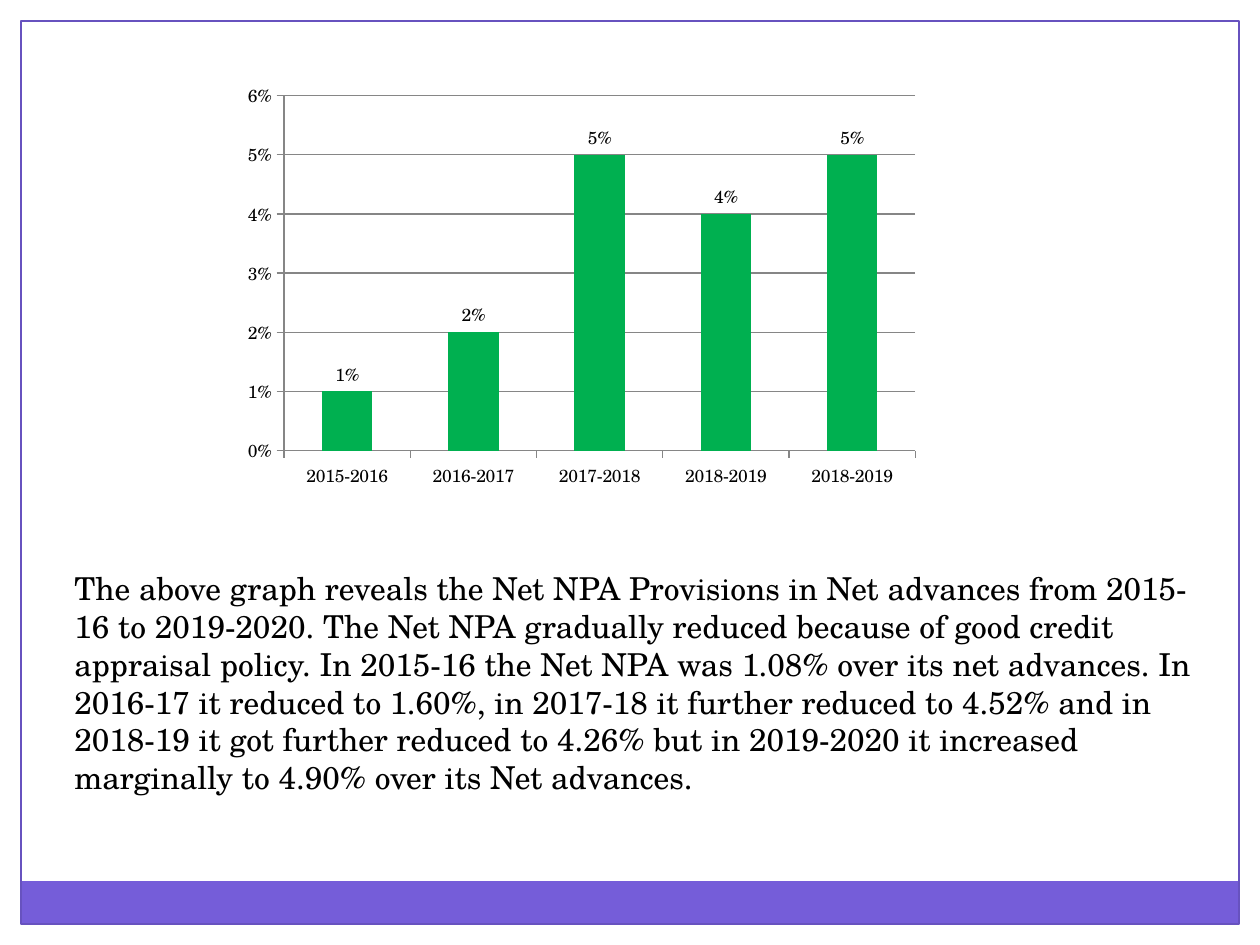
import pptx
import pptx.util
import pptx.chart.data
import pptx.dml.color
import pptx.enum.chart
import pptx.enum.shapes
import pptx.enum.text
from lxml import etree

FONT = "TeX Gyre Schola"
COLORS = {"margin": "FFFFFF", "band": "755DD9", "frame": "6752BF",
          "bar": "00B050", "grid": "868686", "text": "000000"}

NET_NPA = [("2015-2016", 0.01), ("2016-2017", 0.02), ("2017-2018", 0.05),
           ("2018-2019", 0.04), ("2018-2019", 0.05)]
COMMENT = (
    "The above graph reveals the Net NPA Provisions in Net advances from 2015-16 to "
    "2019-2020. The Net NPA gradually reduced because of good credit appraisal policy. "
    "In 2015-16 the Net NPA was 1.08% over its net advances. In 2016-17 it reduced to "
    "1.60%, in 2017-18 it further reduced to 4.52% and in 2018-19 it got further reduced "
    "to 4.26% but in 2019-2020 it increased marginally to 4.90% over its Net advances.")

# left, top, width, height in px
WIDTH, HEIGHT, MARGIN = 1260, 945, 21
FILLED = [("margin", (0, 0, WIDTH, MARGIN)),
          ("margin", (WIDTH - MARGIN, 0, MARGIN, HEIGHT)),
          ("margin", (0, 0, MARGIN, HEIGHT)),
          ("band", (MARGIN, 881, WIDTH - 2 * MARGIN, 43))]
FRAME = (MARGIN, MARGIN, WIDTH - 2 * MARGIN, HEIGHT - 2 * MARGIN)
CHART = (189, 42, 767, 483)
COMMENT_BOX = (62, 563, 1145, 280)
PLOT = {"x": 0.124, "y": 0.111, "w": 0.823, "h": 0.735}  # shares of the chart


def px(n):
    return round(n * 914400 / 126)


def box(rect):
    return [px(n) for n in rect]


def color(name):
    return pptx.dml.color.RGBColor.from_string(COLORS[name])


def style_font(font, size):
    font.name = FONT
    font.size = pptx.util.Pt(size)
    font.color.rgb = color("text")


def style_line(line, name):
    line.color.rgb = color(name)
    line.width = pptx.util.Pt(0.75)


def add_rect(slide, rect):
    sp = slide.shapes.add_shape(pptx.enum.shapes.MSO_SHAPE.RECTANGLE, *box(rect))
    sp.shadow.inherit = False
    return sp


def set_plot_layout(chart):
    """Fix the inner plot area at the shares given in PLOT."""
    area = chart._chartSpace.chart.plotArea
    ns = area.nsmap["c"]
    for old in area.findall(f"{{{ns}}}layout"):
        area.remove(old)
    layout = etree.Element(f"{{{ns}}}layout")
    manual = etree.SubElement(layout, f"{{{ns}}}manualLayout")
    settings = {"layoutTarget": "inner", "xMode": "edge", "yMode": "edge", **PLOT}
    for tag, value in settings.items():
        etree.SubElement(manual, f"{{{ns}}}{tag}").set("val", str(value))
    area.insert(0, layout)


def add_npa_chart(slide):
    data = pptx.chart.data.CategoryChartData(number_format="0%")
    data.categories = [year for year, _ in NET_NPA]
    data.add_series("Series 1", [share for _, share in NET_NPA])
    kind = pptx.enum.chart.XL_CHART_TYPE.COLUMN_CLUSTERED
    chart = slide.shapes.add_chart(kind, *box(CHART), data).chart
    chart.has_legend = False
    chart.has_title = False
    style_font(chart.font, 10)
    set_plot_layout(chart)

    for axis in (chart.category_axis, chart.value_axis):
        axis.major_tick_mark = pptx.enum.chart.XL_TICK_MARK.OUTSIDE
        style_line(axis.format.line, "grid")
    axis = chart.value_axis
    axis.minimum_scale, axis.maximum_scale, axis.major_unit = 0, 0.06, 0.01
    axis.tick_labels.number_format = "0%"
    axis.tick_labels.number_format_is_linked = False
    axis.has_major_gridlines = True
    style_line(axis.major_gridlines.format.line, "grid")

    plot = chart.plots[0]
    plot.gap_width = 150
    plot.vary_by_categories = False
    fill = plot.series[0].format.fill
    fill.solid()
    fill.fore_color.rgb = color("bar")
    plot.has_data_labels = True
    labels = plot.data_labels
    labels.show_value = True
    labels.number_format = "0%"
    labels.number_format_is_linked = False
    labels.position = pptx.enum.chart.XL_LABEL_POSITION.OUTSIDE_END
    style_font(labels.font, 10)


def main():
    prs = pptx.Presentation()
    prs.slide_width, prs.slide_height = px(WIDTH), px(HEIGHT)
    slide = prs.slides.add_slide(prs.slide_layouts[6])

    for name, rect in FILLED:
        sp = add_rect(slide, rect)
        sp.fill.solid()
        sp.fill.fore_color.rgb = color(name)
        sp.line.fill.background()

    frame = add_rect(slide, FRAME)
    frame.fill.background()
    style_line(frame.line, "frame")

    tf = slide.shapes.add_textbox(*box(COMMENT_BOX)).text_frame
    tf.word_wrap = True
    tf.text = COMMENT
    p = tf.paragraphs[0]
    p.alignment = pptx.enum.text.PP_ALIGN.LEFT
    style_font(p.runs[0].font, 18)

    add_npa_chart(slide)
    prs.save("out.pptx")


if __name__ == "__main__":
    main()
